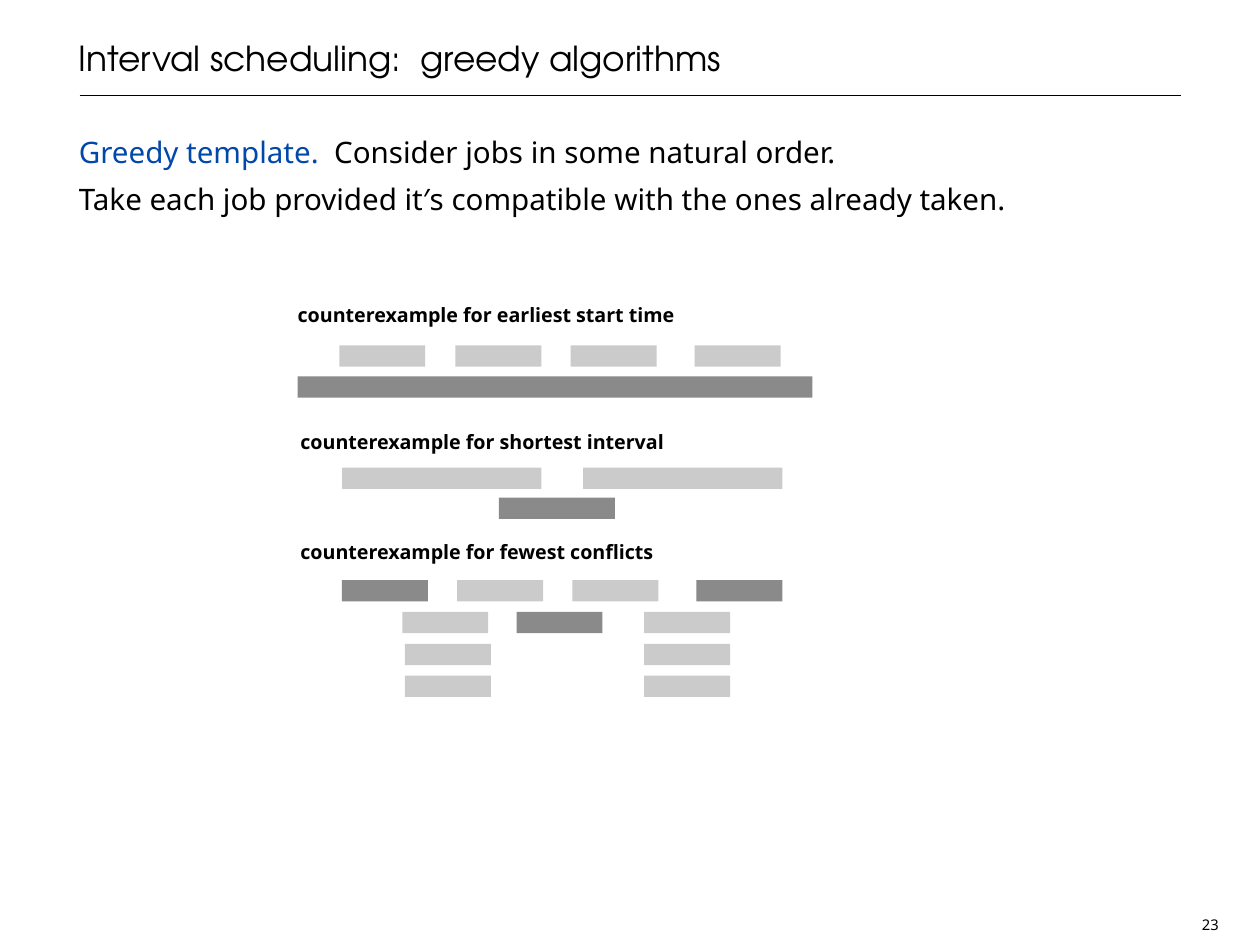
from dataclasses import dataclass

from lxml import etree
from pptx import Presentation
from pptx import util as u
from pptx.dml.color import RGBColor
from pptx.enum import shapes, text
from pptx.oxml.ns import qn

BLACK, BLUE, LIGHT, DARK = "000000", "0048AA", "CBCBCB", "8A8A8A"
SANS, HEAD = "Noto Sans", "TeX Gyre Adventor"
SHORT, THICK = 0.97, 0.24


@dataclass
class Job:
    left: float
    row: int = 0
    width: float = SHORT
    shade: str = LIGHT


@dataclass
class Case:
    label: str
    left: float
    top: float
    width: float
    first: float
    pitch: float
    jobs: list[Job]


CASES = [
    Case("counterexample for earliest start time", 3.36, 3.34, 4.37, 3.9, 0.35,
         [Job(left) for left in (3.83, 5.14, 6.44, 7.84)]
         + [Job(3.36, 1, 5.81, DARK)]),
    Case("counterexample for shortest interval", 3.39, 4.77, 4.22, 5.28, 0.34,
         [Job(3.86, 0, 2.25), Job(6.58, 0, 2.25), Job(5.63, 1, 1.31, DARK)]),
    Case("counterexample for fewest conflicts", 3.39, 6.01, 4.12, 6.55, 0.36,
         [Job(3.86, shade=DARK), Job(5.16), Job(6.46), Job(7.86, shade=DARK),
          Job(4.54, 1), Job(5.83, 1, shade=DARK), Job(4.57, 2), Job(4.57, 3)]
         + [Job(7.27, row) for row in (1, 2, 3)]),
]


def paint(target, shade: str) -> None:
    target.rgb = RGBColor.from_string(shade)


def place(shape, left: float, top: float, width: float, height: float) -> None:
    shape.left, shape.top = u.Inches(left), u.Inches(top)
    shape.width, shape.height = u.Inches(width), u.Inches(height)


def inset(frame, gap: float) -> None:
    frame.margin_left = frame.margin_right = u.Inches(gap)
    frame.margin_top = frame.margin_bottom = u.Inches(gap)


def style(para, size: int, face: str, bold: bool = False) -> None:
    para.font.size, para.font.name, para.font.bold = u.Pt(size), face, bold
    paint(para.font.color, BLACK)


def fill_holder(holder, top: float, height: float, anchor):
    place(holder, 0.89, top, 12.44, height)
    frame = holder.text_frame
    inset(frame, 0)
    frame.word_wrap = True
    frame.auto_size = text.MSO_AUTO_SIZE.NONE
    frame.vertical_anchor = anchor
    para = frame.paragraphs[0]
    para.alignment = text.PP_ALIGN.LEFT
    para.line_spacing, para.space_before = u.Pt(38), u.Pt(0)
    return para


def add_label(parent, words: str, left: float, top: float, width: float,
              height: float, size: int, pitch, align,
              bold: bool = False) -> None:
    box = parent.add_textbox(*map(u.Inches, (left, top, width, height)))
    frame = box.text_frame
    inset(frame, 0)
    frame.word_wrap = False
    frame.auto_size = text.MSO_AUTO_SIZE.SHAPE_TO_FIT_TEXT
    para = frame.paragraphs[0]
    para.text = words
    para.alignment, para.line_spacing = align, pitch
    style(para, size, SANS, bold)


def add_case(slide, case: Case) -> None:
    group = slide.shapes.add_group_shape().shapes
    for job in case.jobs:
        top = case.first + job.row * case.pitch
        bar = group.add_shape(shapes.MSO_SHAPE.RECTANGLE,
                              *map(u.Inches, (job.left, top, job.width, THICK)))
        bar.shadow.inherit = False
        bar.fill.solid()
        paint(bar.fill.fore_color, job.shade)
        bar.line.fill.background()
    add_label(group, case.label, case.left, case.top, case.width, 0.25,
              16, 1.3, text.PP_ALIGN.LEFT, True)


def add_rule(slide) -> None:
    rule = slide.shapes.add_connector(
        shapes.MSO_CONNECTOR.STRAIGHT,
        *map(u.Inches, (0.9, 1.08, 13.33, 1.08)))
    paint(rule.line.color, BLACK)
    rule.line.width = u.Pt(1)
    etree.SubElement(rule._element.spPr, qn("a:effectLst"))


def main() -> None:
    deck = Presentation()
    deck.slide_width, deck.slide_height = u.Inches(14.22), u.Inches(10.67)
    slide = deck.slides.add_slide(deck.slide_layouts[1])
    add_rule(slide)

    title = fill_holder(slide.shapes.title, 0, 0.89, text.MSO_ANCHOR.BOTTOM)
    title.text = "Interval scheduling:  greedy algorithms"
    style(title, 28, HEAD)

    body = fill_holder(slide.placeholders[1], 1.39, 8.94, text.MSO_ANCHOR.TOP)
    props = body._p.get_or_add_pPr()
    props.set("marL", "0")
    props.set("indent", "0")
    etree.SubElement(props, qn("a:buNone"))
    style(body, 24, SANS)
    lead = body.add_run()
    lead.text = "Greedy template.  "
    paint(lead.font.color, BLUE)
    body.add_run().text = "Consider jobs in some natural order."
    body.add_line_break()
    body.add_run().text = ("Take each job provided it′s compatible "
                           "with the ones already taken.")

    add_label(slide.shapes, "23", 13.46, 10.34, 0.4, 0.2,
              12, u.Pt(14), text.PP_ALIGN.CENTER)
    for case in CASES:
        add_case(slide, case)
    deck.save("out.pptx")


if __name__ == "__main__":
    main()
